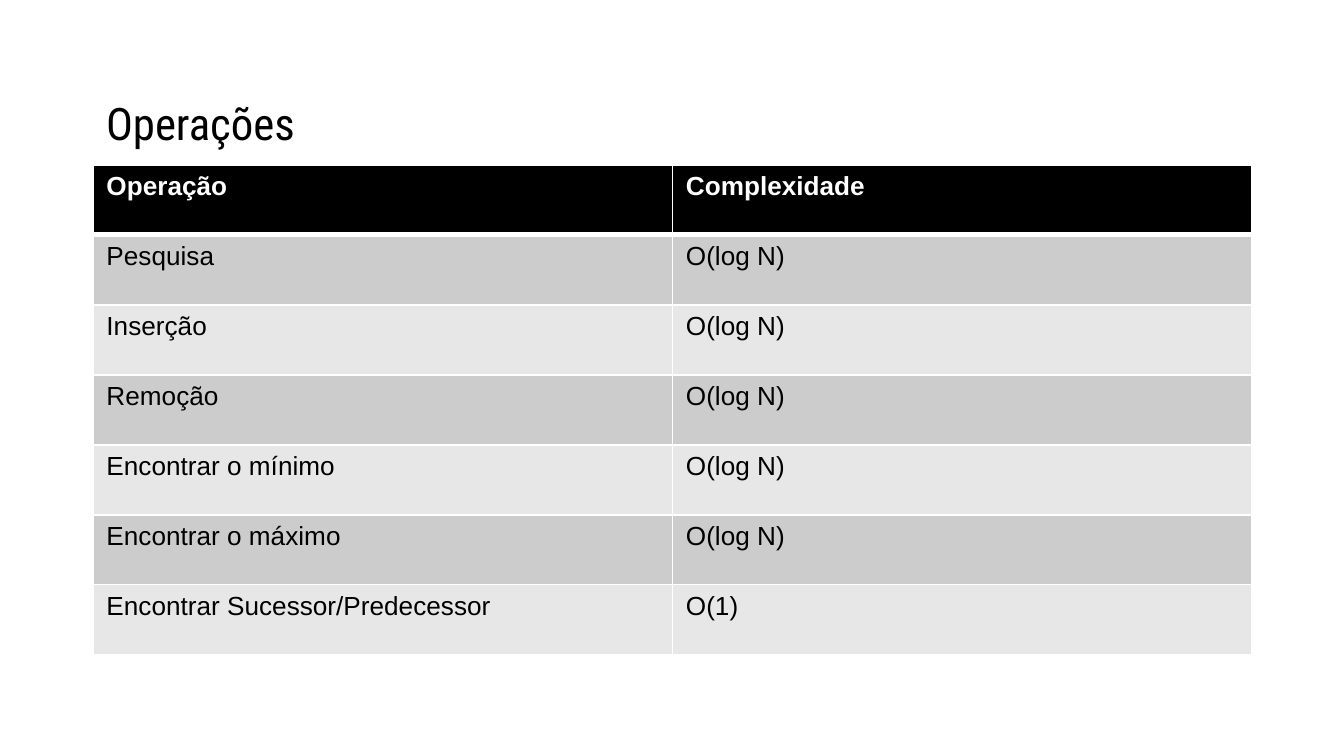
"""Build a slide with a table of operations and their complexity."""
from lxml import etree
from pptx import Presentation
from pptx.dml.color import RGBColor
from pptx.enum.text import MSO_ANCHOR, PP_ALIGN
from pptx.oxml.ns import qn
from pptx.util import Pt

LEFT = PP_ALIGN.LEFT
MIDDLE = MSO_ANCHOR.MIDDLE
PX = 914400 / 134.4

TITLE = {"name": "Roboto Condensed", "size": Pt(24), "bold": False}
HEADER = {"name": "Arial", "size": Pt(14), "bold": True}
BODY = {**HEADER, "bold": False}
BLACK, WHITE = "000000", "FFFFFF"
BANDS = ["E7E7E7", "CCCCCC"]

ROWS = [
    ("Operação", "Complexidade"),
    ("Pesquisa", "O(log N)"),
    ("Inserção", "O(log N)"),
    ("Remoção", "O(log N)"),
    ("Encontrar o mínimo", "O(log N)"),
    ("Encontrar o máximo", "O(log N)"),
    ("Encontrar Sucessor/Predecessor", "O(1)"),
]


def px(n):
    return round(n * PX)


def rgb(value):
    return RGBColor.from_string(value)


class Deck:
    def __init__(self, prs):
        self.s = prs.slides.add_slide(prs.slide_layouts[5])

    def add_text(self, tf, text, style, color):
        p = tf.paragraphs[0]
        p.alignment = LEFT
        r = p.add_run()
        r.text = text
        for key, value in style.items():
            setattr(r.font, key, value)
        r.font.color.rgb = rgb(color)

    def title(self, text, x, y, w, h):
        sp = self.s.shapes.title
        box = {"left": x, "top": y, "width": w, "height": h}
        for key, value in box.items():
            setattr(sp, key, px(value))
        tf = sp.text_frame
        tf.vertical_anchor = MIDDLE
        for side in ("left", "top", "right", "bottom"):
            setattr(tf, f"margin_{side}", px(13))
        self.add_text(tf, text, TITLE, BLACK)

    def border(self, cell, widths):
        tc_pr = cell._tc.get_or_add_tcPr()
        for side, width in widths.items():
            ln = etree.SubElement(tc_pr, qn(f"a:ln{side}"), w=str(Pt(width)))
            fill = etree.SubElement(ln, qn("a:solidFill"))
            etree.SubElement(fill, qn("a:srgbClr"), val=WHITE)

    def table(self, rows, x, y, w, row_h):
        shape = self.s.shapes.add_table(
            len(rows), len(rows[0]), px(x), px(y), px(w), px(row_h * len(rows)))
        for i, row in enumerate(rows):
            head = i == 0
            widths = {"L": 1, "R": 1, "T": 3 if i == 1 else 1, "B": 3 if head else 1}
            for j, text in enumerate(row):
                cell = shape.table.cell(i, j)
                self.border(cell, widths)
                cell.fill.solid()
                cell.fill.fore_color.rgb = rgb(BLACK if head else BANDS[i % 2])
                self.add_text(cell.text_frame, text, HEADER if head else BODY,
                              WHITE if head else BLACK)


def main():
    prs = Presentation()
    prs.slide_width, prs.slide_height = px(1344), px(756)
    deck = Deck(prs)
    deck.title("Operações", 93, 81, 1251, 84)
    deck.table(ROWS, 93, 165, 1159, 70)
    prs.save("out.pptx")


if __name__ == "__main__":
    main()
